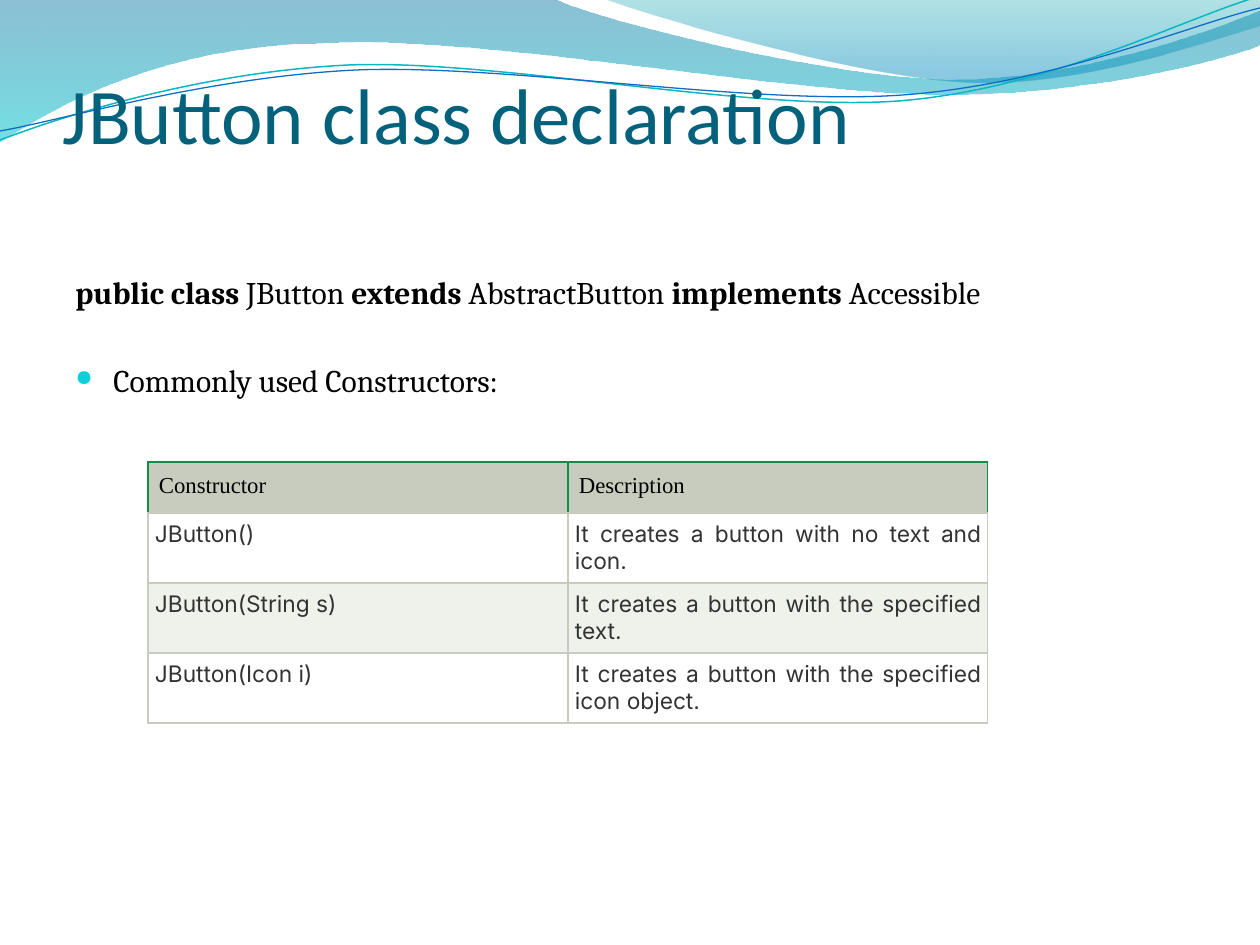
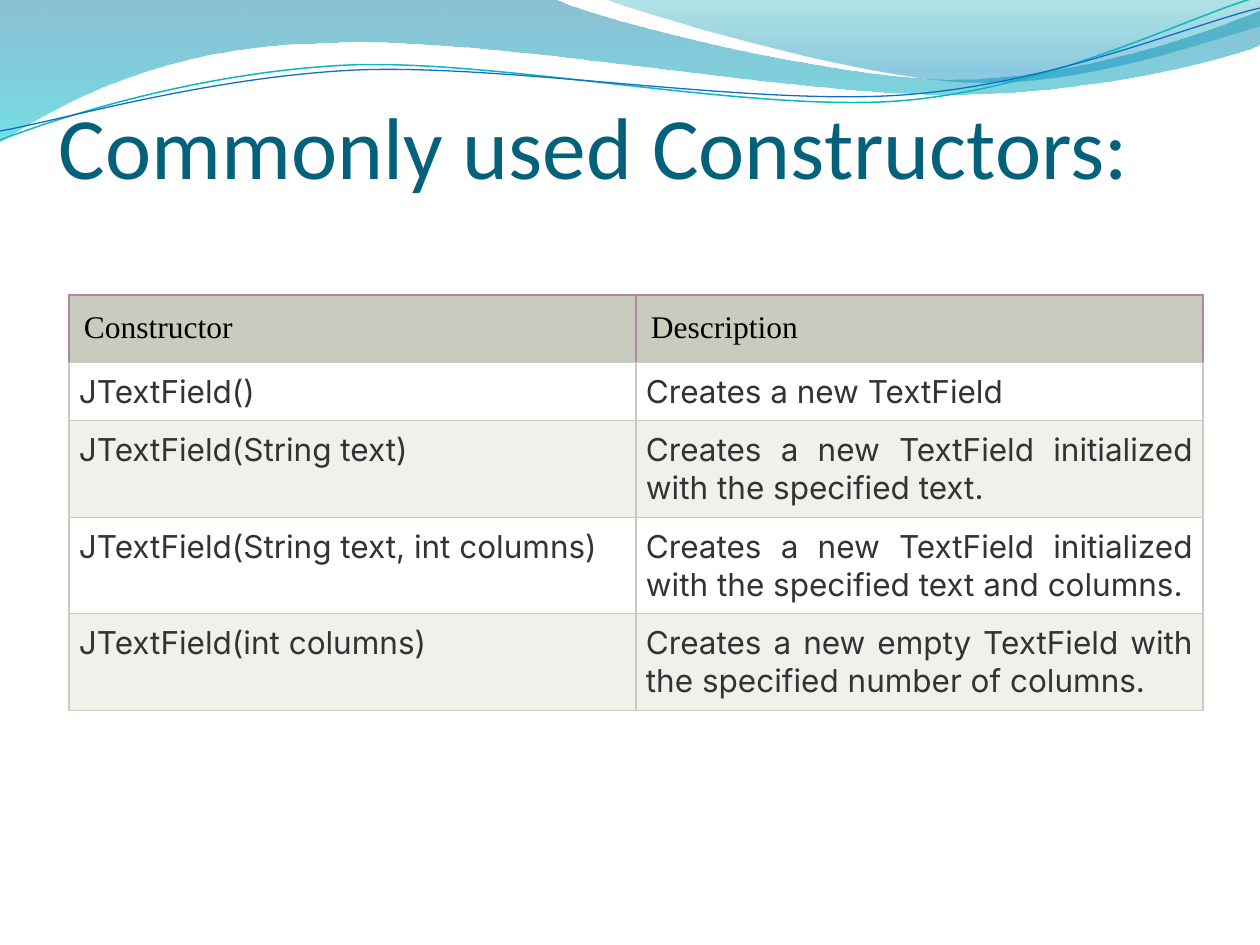
from dataclasses import dataclass

from lxml import etree
from pptx import Presentation
from pptx import util as u
from pptx.dml.color import RGBColor
from pptx.enum import text
from pptx.oxml.ns import qn

EMU_PER_PX = 914400 / 126
PAGE_WIDTH, PAGE_HEIGHT = 1260, 945

Point = tuple[int, int]


@dataclass(frozen=True)
class Theme:
    title_color: str = "04617B"
    text_color: str = "000000"
    cell_text: str = "333333"
    bullet: str = "0BD0D9"
    header_fill: str = "C7CCBE"
    grid: str = "C7CCBE"
    row_fills: tuple[str, str] = ("FFFFFF", "EFF1EB")
    title_font: str = "Calibri"
    body_font: str = "Cambria"
    header_font: str = "Times New Roman"
    cell_font: str = "Inter"
    body_size: int = 18
    rule_width: float = 0.75


THEME = Theme()


@dataclass(frozen=True)
class Stop:
    position: float
    color: str
    opacity: int


@dataclass(frozen=True)
class Wave:
    """Start point, then segments: one point is a line, three are a curve."""
    start: Point
    segments: tuple[tuple[Point, ...], ...]
    stops: tuple[Stop, ...] = ()
    line_color: str = ""
    line_width: float = 0


@dataclass(frozen=True)
class Title:
    words: str
    left: int
    top: int
    size: int
    bottom_inset: int = 0


@dataclass(frozen=True)
class Grid:
    left: int
    top: int
    column_width: int
    row_heights: tuple[int, ...]
    header_inset: int
    cell_inset: int
    size: int
    header_border: str
    rows: tuple[tuple[str, str], ...]


# Shared band of waves at the top of every slide
WAVES = (
    Wave((0, 0), (
        ((554, -1),),
        ((600, 21), (837, 79), (955, 79)),
        ((1075, 79), (1207, 33), (1260, 11)),
        ((1261, 45),),
        ((1239, 55), (1096, 96), (940, 94)),
        ((784, 94), (481, 35), (324, 43)),
        ((163, 45), (58, 105), (-1, 142)),
    ), stops=(Stop(0, "0074A1", 45), Stop(1, "00C6CF", 55))),
    Wave((604, -1), (
        ((641, 14), (859, 78), (969, 82)),
        ((1079, 87), (1211, 40), (1260, 26)),
        ((1260, 0),),
    ), stops=(Stop(0, "00A1A9", 30), Stop(0.8, "008BBF", 45))),
    Wave((0, 140), (
        ((60, 117), (199, 72), (349, 65)),
        ((498, 59), (747, 112), (898, 101)),
        ((1050, 89), (1182, 19), (1257, -3)),
    ), line_color="0AB8BF", line_width=0.85),
    Wave((0, 131), (
        ((59, 121), (207, 77), (357, 70)),
        ((508, 64), (752, 106), (903, 95)),
        ((1053, 84), (1186, 26), (1260, 8)),
    ), line_color="0F6FC6", line_width=0.75),
)

# Slide content
BUTTON_TITLE = Title("JButton class declaration", 63, 97, 45, bottom_inset=95)
FIELD_TITLE = Title("Commonly used Constructors:", 59, 39, 50)

DECLARATION = (
    ("public class ", True), ("JButton ", False),
    ("extends ", True), ("AbstractButton ", False),
    ("implements", True), (" Accessible", False),
)
CONSTRUCTORS_LABEL = (("Commonly used Constructors:", False),)

BUTTON_GRID = Grid(148, 462, 420, (51, 70, 70, 70), 11, 7, 13, "108E47", (
    ("Constructor", "Description"),
    ("JButton()", "It creates a button with no text and icon."),
    ("JButton(String s)", "It creates a button with the specified text."),
    ("JButton(Icon i)", "It creates a button with the specified icon object."),
))
FIELD_GRID = Grid(69, 295, 567, (67, 58, 97, 96, 97), 15, 10, 18, "B086A3", (
    ("Constructor", "Description"),
    ("JTextField()", "Creates a new TextField"),
    ("JTextField(String text)",
     "Creates a new TextField initialized with the specified text."),
    ("JTextField(String text, int columns)",
     "Creates a new TextField initialized with the specified text and columns."),
    ("JTextField(int columns)",
     "Creates a new empty TextField with the specified number of columns."),
))


def px(length: float) -> int:
    return round(length * EMU_PER_PX)


def style(span, font: str, size: float, color: str, bold: bool = False) -> None:
    span.font.name = font
    span.font.size = u.Pt(size)
    span.font.bold = bold
    span.font.color.rgb = RGBColor.from_string(color)


# Waves
def bend(shape, wave: Wave) -> None:
    """Join each run of three straight steps of a curve into one Bezier."""
    steps = iter(list(shape.element.iter(qn("a:lnTo"))))
    for segment in wave.segments:
        group = [next(steps) for _ in segment]
        if len(group) == 3:
            curve = etree.Element(qn("a:cubicBezTo"))
            group[0].addprevious(curve)
            for step in group:
                curve.append(step[0])
                step.getparent().remove(step)


def draw_wave(page, wave: Wave) -> None:
    builder = page.shapes.build_freeform(*map(px, wave.start), scale=1.0)
    builder.add_line_segments(
        [(px(x), px(y)) for segment in wave.segments for x, y in segment],
        close=False)
    shape = builder.convert_to_shape()
    bend(shape, wave)
    shape.shadow.inherit = False
    if not wave.stops:
        shape.fill.background()
        shape.line.color.rgb = RGBColor.from_string(wave.line_color)
        shape.line.width = u.Pt(wave.line_width)
        return
    outline = next(shape.element.iter(qn("a:path")))
    etree.SubElement(outline, qn("a:close"))
    shape.line.fill.background()
    shape.fill.gradient()
    shape.fill.gradient_angle = 270
    for target, stop in zip(shape.fill.gradient_stops, wave.stops):
        target.position = stop.position
        target.color.rgb = RGBColor.from_string(stop.color)
    for color, stop in zip(shape.element.iter(qn("a:srgbClr")), wave.stops):
        etree.SubElement(color, qn("a:alpha"), val=str(stop.opacity * 1000))


# Text
def draw_title(page, title: Title) -> None:
    box = page.shapes.add_textbox(
        px(title.left), px(title.top), px(1134), px(158))
    frame = box.text_frame
    frame.word_wrap = True
    frame.vertical_anchor = text.MSO_ANCHOR.BOTTOM
    frame.margin_left = frame.margin_right = 0
    frame.margin_bottom = px(title.bottom_inset)
    frame.text = title.words
    style(frame.paragraphs[0].runs[0],
          THEME.title_font, title.size, THEME.title_color)


def fill_para(para, spans: tuple[tuple[str, bool], ...], before: float) -> None:
    para.space_before = u.Pt(before)
    for words, bold in spans:
        span = para.add_run()
        span.text = words
        style(span, THEME.body_font, THEME.body_size, THEME.text_color, bold)
    properties = para._p.get_or_add_pPr()
    properties.set("marL", str(px(38)))
    properties.set("indent", str(px(-38)))


def add_bullet(para) -> None:
    properties = para._p.get_or_add_pPr()
    color = etree.SubElement(properties, qn("a:buClr"))
    etree.SubElement(color, qn("a:srgbClr"), val=THEME.bullet)
    etree.SubElement(properties, qn("a:buSzPct"), val="70000")
    etree.SubElement(properties, qn("a:buChar"), char="●")


def draw_declaration(page) -> None:
    box = page.shapes.add_textbox(px(63), px(267), px(1158), px(605))
    frame = box.text_frame
    frame.word_wrap = True
    fill_para(frame.paragraphs[0], DECLARATION, before=3.6)
    label = frame.add_paragraph()
    fill_para(label, CONSTRUCTORS_LABEL, before=28.5)
    add_bullet(label)


# Tables
def set_borders(cell, side_color: str) -> None:
    properties = cell._tc.get_or_add_tcPr()
    for side in ("lnL", "lnR", "lnT", "lnB"):
        color = THEME.grid if side == "lnB" else side_color
        line = etree.SubElement(properties, qn(f"a:{side}"),
                                w=str(u.Pt(THEME.rule_width)))
        solid = etree.SubElement(line, qn("a:solidFill"))
        etree.SubElement(solid, qn("a:srgbClr"), val=color)


def draw_cell(cell, words: str, grid: Grid, row: int) -> None:
    header = row == 0
    set_borders(cell, grid.header_border if header else THEME.grid)
    cell.fill.solid()
    cell.fill.fore_color.rgb = RGBColor.from_string(
        THEME.header_fill if header else THEME.row_fills[(row - 1) % 2])
    inset = px(grid.header_inset if header else grid.cell_inset)
    cell.margin_left = cell.margin_right = inset
    cell.margin_top = cell.margin_bottom = inset
    cell.text_frame.text = words
    para = cell.text_frame.paragraphs[0]
    if header:
        style(para.runs[0], THEME.header_font, grid.size, THEME.text_color)
    else:
        para.alignment = text.PP_ALIGN.JUSTIFY
        style(para.runs[0], THEME.cell_font, grid.size, THEME.cell_text)


def draw_grid(page, grid: Grid) -> None:
    table = page.shapes.add_table(
        len(grid.rows), 2, px(grid.left), px(grid.top),
        px(2 * grid.column_width), px(sum(grid.row_heights))).table
    table.first_row = table.horz_banding = False
    for column in table.columns:
        column.width = px(grid.column_width)
    for row, (height, entries) in enumerate(zip(grid.row_heights, grid.rows)):
        table.rows[row].height = px(height)
        for column, words in enumerate(entries):
            draw_cell(table.cell(row, column), words, grid, row)


# Slides
def add_page(deck, title: Title):
    page = deck.slides.add_slide(deck.slide_layouts[6])
    for wave in WAVES:
        draw_wave(page, wave)
    draw_title(page, title)
    return page


def main() -> None:
    deck = Presentation()
    deck.slide_width, deck.slide_height = px(PAGE_WIDTH), px(PAGE_HEIGHT)

    button_page = add_page(deck, BUTTON_TITLE)
    draw_declaration(button_page)
    draw_grid(button_page, BUTTON_GRID)

    field_page = add_page(deck, FIELD_TITLE)
    draw_grid(field_page, FIELD_GRID)

    deck.save("out.pptx")


if __name__ == "__main__":
    main()
